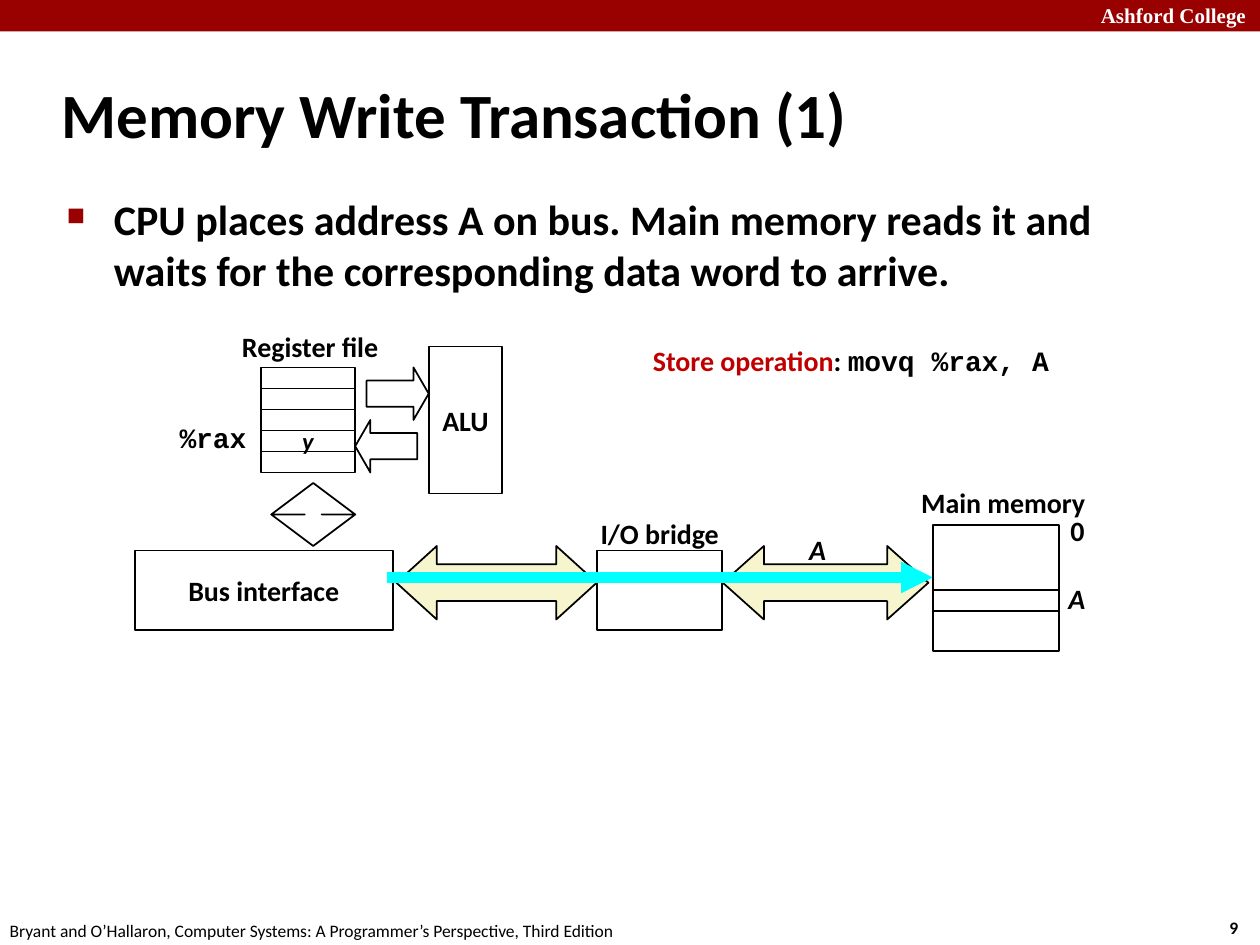
from lxml import etree
from pptx import Presentation
from pptx.dml.color import RGBColor
from pptx.enum.shapes import MSO_CONNECTOR, MSO_SHAPE
from pptx.enum.text import MSO_ANCHOR, MSO_AUTO_SIZE, PP_ALIGN
from pptx.oxml.ns import qn
from pptx.util import Pt

RECTANGLE = MSO_SHAPE.RECTANGLE
RIGHT_ARROW = MSO_SHAPE.RIGHT_ARROW
LEFT_ARROW = MSO_SHAPE.LEFT_ARROW
UP_DOWN_ARROW = MSO_SHAPE.UP_DOWN_ARROW
LEFT_RIGHT_ARROW = MSO_SHAPE.LEFT_RIGHT_ARROW
STRAIGHT = MSO_CONNECTOR.STRAIGHT
TOP = MSO_ANCHOR.TOP
MIDDLE = MSO_ANCHOR.MIDDLE
LEFT = PP_ALIGN.LEFT
CENTER = PP_ALIGN.CENTER
GROW = MSO_AUTO_SIZE.SHAPE_TO_FIT_TEXT
FIXED = MSO_AUTO_SIZE.NONE

BLACK, WHITE = "000000", "FFFFFF"
CRIMSON, RED = "990000", "C00000"
CREAM, CYAN = "F7F5CD", "00FFFF"
MONO = "Courier New"


def color(value):
    return RGBColor.from_string(value)


class Deck:
    def __init__(self):
        self.font = "Calibri"
        self.presentation = Presentation()
        self.presentation.slide_width = Pt(720)
        self.presentation.slide_height = Pt(540)
        layout = self.presentation.slide_layouts[6]
        self.slide = self.presentation.slides.add_slide(layout)

    def run(self, paragraph, text, size=16, font=None, ink=BLACK, bold=True, italic=False):
        run = paragraph.add_run()
        run.text = text
        run.font.size = Pt(size)
        run.font.name = font or self.font
        run.font.bold = bold
        run.font.italic = italic
        run.font.color.rgb = color(ink)

    def shape(self, kind, left, top, width, height, fill=None, line=BLACK,
              adjustments=(), text=None, **style):
        shape = self.slide.shapes.add_shape(kind, Pt(left), Pt(top), Pt(width), Pt(height))
        shape.shadow.inherit = False
        for index, value in enumerate(adjustments):
            shape.adjustments[index] = value
        if fill:
            shape.fill.solid()
            shape.fill.fore_color.rgb = color(fill)
        else:
            shape.fill.background()
        if line:
            shape.line.color.rgb = color(line)
            shape.line.width = Pt(1)
        else:
            shape.line.fill.background()
        if text:
            frame = shape.text_frame
            frame.word_wrap = False
            frame.vertical_anchor = MIDDLE
            frame.paragraphs[0].alignment = CENTER
            self.run(frame.paragraphs[0], text, **style)

    def text(self, left, top, width, height, runs, anchor=TOP, align=LEFT,
             wrap=False, size_rule=GROW):
        box = self.slide.shapes.add_textbox(Pt(left), Pt(top), Pt(width), Pt(height))
        frame = box.text_frame
        frame.word_wrap = wrap
        frame.auto_size = size_rule
        frame.vertical_anchor = anchor
        paragraph = frame.paragraphs[0]
        paragraph.alignment = align
        for text, style in runs:
            self.run(paragraph, text, **style)
        return paragraph

    def label(self, left, top, width, text, align=CENTER, **style):
        self.text(left, top, width, 26.6, [(text, style)], MIDDLE, align)

    def bullet(self, left, top, width, height, text, size):
        paragraph = self.text(left, top, width, height, [(text, {"size": size})],
                              wrap=True, size_rule=FIXED)
        paragraph.space_before = Pt(size * 0.2)
        properties = paragraph._p.get_or_add_pPr()
        properties.set("marL", str(Pt(27)))
        properties.set("indent", str(Pt(-27)))
        bullet_color = etree.SubElement(properties, qn("a:buClr"))
        etree.SubElement(bullet_color, qn("a:srgbClr"), val=CRIMSON)
        etree.SubElement(properties, qn("a:buSzPct"), val="60000")
        etree.SubElement(properties, qn("a:buChar"), char="■")

    def arrow(self, start_x, start_y, end_x, end_y, ink, width):
        connector = self.slide.shapes.add_connector(
            STRAIGHT, Pt(start_x), Pt(start_y), Pt(end_x), Pt(end_y))
        connector.line.color.rgb = color(ink)
        connector.line.width = Pt(width)
        etree.SubElement(connector.line._get_or_add_ln(), qn("a:tailEnd"), type="triangle")
        etree.SubElement(connector._element.spPr, qn("a:effectLst"))


def main():
    deck = Deck()

    deck.shape(RECTANGLE, 0, 0, 720, 18, fill=CRIMSON, line=None)
    deck.text(622, -2, 103, 21.6, [("Ashford College", {
        "size": 12, "font": "Times New Roman", "ink": WHITE})], wrap=True)
    deck.text(695.5, 520.5, 26.6, 19.4, [("9", {"size": 10})])
    deck.text(-1.5, 522, 366, 19.4, [(
        "Bryant and O’Hallaron, Computer Systems: A Programmer’s Perspective, Third Edition",
        {"size": 10, "bold": False})])
    deck.text(28, 34.5, 597.6, 60, [("Memory Write Transaction (1)", {"size": 36})],
              anchor=MIDDLE, wrap=True, size_rule=FIXED)
    deck.bullet(31, 107.3, 622, 391.7,
                "CPU places address A on bus. Main memory reads it and waits for "
                "the corresponding data word to arrive.", 24)

    deck.shape(LEFT_RIGHT_ARROW, 413, 312, 117.5, 42, CREAM, adjustments=(0.5, 0.56))
    deck.shape(RECTANGLE, 341, 314.5, 71.5, 45.5)
    deck.shape(LEFT_RIGHT_ARROW, 226.5, 312, 114.5, 42, CREAM, adjustments=(0.5, 0.55))

    for row, value in enumerate((None, None, None, "y", None)):
        deck.shape(RECTANGLE, 149, 210 + 12 * row, 54, 12, text=value, size=14, italic=True)
    deck.shape(RIGHT_ARROW, 209.5, 210, 35.5, 30, adjustments=(0.5, 0.29))
    deck.shape(LEFT_ARROW, 203, 240, 35.5, 30, adjustments=(0.5, 0.29))
    deck.shape(RECTANGLE, 245, 198, 42, 84, text="ALU")
    deck.label(130.5, 184.5, 93.5, "Register file")
    deck.shape(UP_DOWN_ARROW, 155, 276, 48, 36, adjustments=(0.5, 0.2))
    deck.shape(RECTANGLE, 77, 314.5, 147.5, 45.5, WHITE, text="Bus interface")

    deck.arrow(221, 330, 533, 330, CYAN, 6)
    deck.label(455, 300.5, 24.5, "A", italic=True)

    deck.shape(RECTANGLE, 533, 300, 72, 72)
    deck.shape(RECTANGLE, 533, 337, 72, 12)
    deck.label(518.5, 273.5, 109.5, "Main memory")
    deck.label(604.5, 289.5, 23, "0", LEFT)
    deck.label(603.5, 328.5, 24.5, "A", LEFT, italic=True)
    deck.label(95, 236.5, 53.5, "%rax", font=MONO)
    deck.label(335.5, 291.5, 83, "I/O bridge")
    deck.text(366, 192.5, 244, 46, [
        ("Store operation", {"ink": RED}),
        (": ", {}),
        ("movq %rax, A", {"font": MONO}),
    ])

    deck.presentation.save("out.pptx")


if __name__ == "__main__":
    main()
